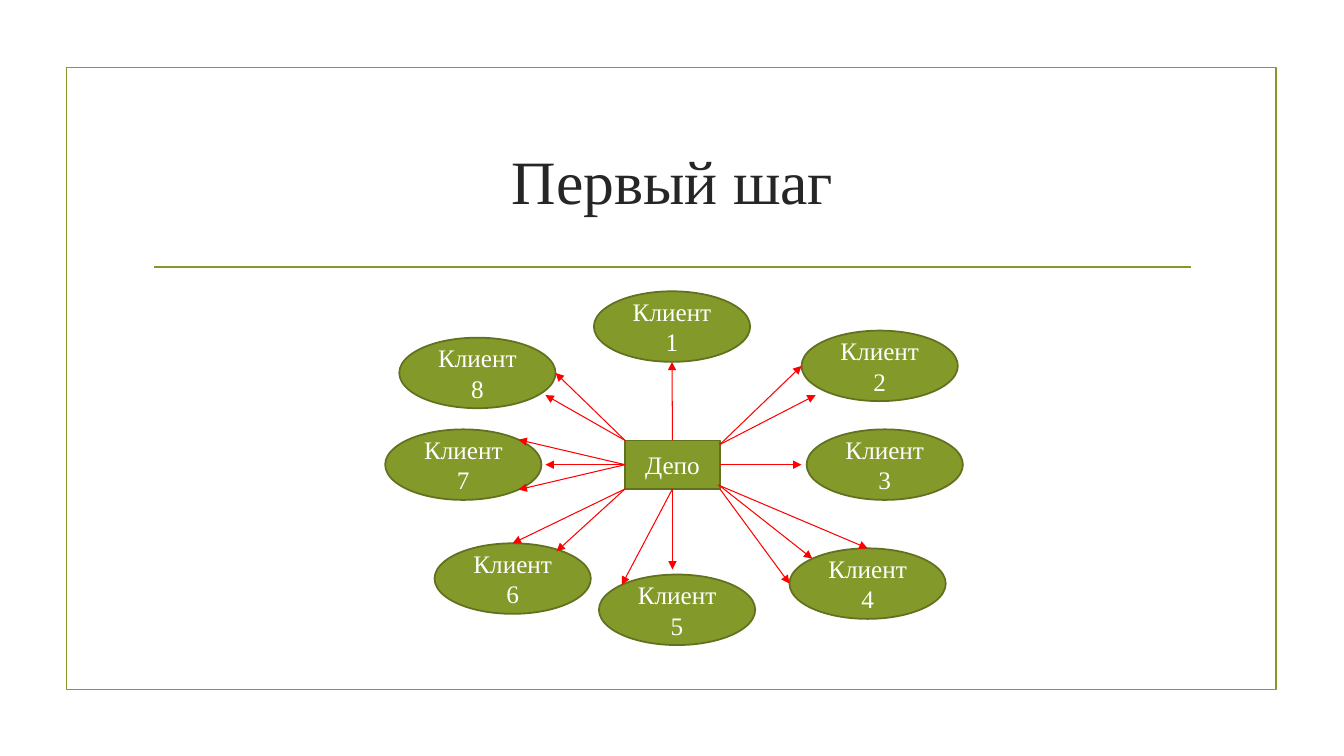
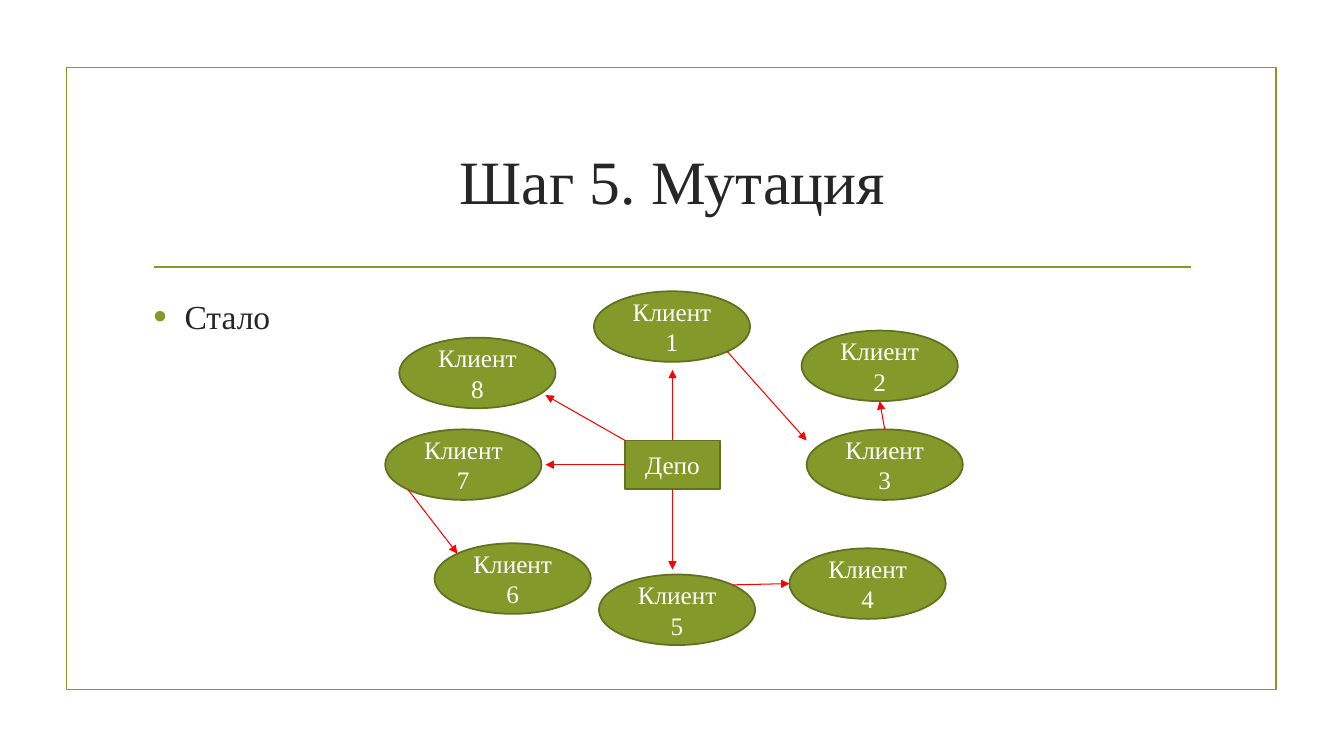
from dataclasses import dataclass
from math import hypot
from typing import Optional, Union

from lxml.etree import SubElement
from pptx import Presentation
from pptx.dml.color import RGBColor
from pptx.enum.shapes import MSO_CONNECTOR as Connector, MSO_SHAPE as Preset
from pptx.enum.text import MSO_ANCHOR as Anchor, PP_ALIGN as Align
from pptx.oxml.ns import qn
from pptx.util import Inches, Pt

# Shared look
COLORS = {
    "accent": "83992A",
    "outline": "61711F",
    "route": "FF0000",
    "text": "262626",
    "label": "FFFFFF",
}
FONT = "Times New Roman"
DEPOT = "Депо"
TITLE_ONLY, TITLE_AND_CONTENT = 5, 1

# Directions from a node's centre, and the connection sites of a rectangle
COMPASS = {
    "N": (0, -1), "NE": (1, -1), "E": (1, 0), "SE": (1, 1),
    "S": (0, 1), "SW": (-1, 1), "W": (-1, 0), "NW": (-1, -1),
}
SITES = {"N": 0, "W": 1, "S": 2, "E": 3}


@dataclass(frozen=True)
class Node:
    label: str
    left: float
    top: float
    width: float = 1.55
    height: float = 0.7
    preset: Preset = Preset.OVAL

    def edge_point(self, direction: str) -> tuple[float, float]:
        dx, dy = COMPASS[direction]
        reach = hypot(dx, dy) if self.preset == Preset.OVAL else 1
        return (self.left + self.width / 2 * (1 + dx / reach),
                self.top + self.height / 2 * (1 + dy / reach))

    def site(self, direction: str) -> Optional[int]:
        if self.preset == Preset.OVAL and direction != "N":
            return None
        return SITES.get(direction)


@dataclass(frozen=True)
class Dock:
    node: str
    direction: str


End = Union[Dock, tuple[float, float]]


@dataclass(frozen=True)
class Route:
    start: End
    end: End


def depot(direction: str) -> Dock:
    return Dock(DEPOT, direction)


def client(number: int, direction: str) -> Dock:
    return Dock(f"Клиент {number}", direction)


# Content
CLIENT_CORNERS = [
    (5.89, 2.89), (7.95, 3.28), (8, 4.26), (7.83, 5.44),
    (5.94, 5.7), (4.31, 5.39), (3.82, 4.26), (3.96, 3.35),
]
NODES = {
    node.label: node
    for node in [
        Node(DEPOT, 6.2, 4.37, 0.94, 0.48, Preset.RECTANGLE),
        *(Node(f"Клиент {number}", left, top)
          for number, (left, top) in enumerate(CLIENT_CORNERS, 1)),
    ]
}
COMMON_ROUTES = [
    Route(depot("W"), (5.41, 4.61)),
    Route(depot("NW"), (5.41, 3.92)),
    Route(depot("S"), (6.67, 5.65)),
]
FIRST_ROUTES = [
    Route(depot("N"), client(1, "S")),
    Route((7.14, 4.41), (8.09, 3.92)),
    Route((7.14, 4.41), client(2, "W")),
    Route(depot("E"), (7.95, 4.61)),
    Route((7.12, 4.81), client(4, "N")),
    Route((7.14, 4.82), client(4, "NW")),
    Route(depot("SE"), client(4, "W")),
    Route(depot("S"), client(5, "NW")),
    Route(depot("SW"), client(6, "N")),
    Route(depot("SW"), (5.52, 5.47)),
    Route(depot("W"), client(7, "NE")),
    Route(depot("W"), client(7, "SE")),
    Route(depot("NW"), client(8, "E")),
]
MUTATED_ROUTES = [
    Route(depot("N"), (6.67, 3.67)),
    Route(client(1, "SE"), (8, 4.37)),
    Route(client(3, "N"), client(2, "S")),
    Route(client(5, "NE"), client(4, "W")),
    Route(client(7, "SW"), client(6, "NW")),
]


def color(name: str) -> RGBColor:
    return RGBColor.from_string(COLORS[name])


def place(shape, left: float, top: float, width: float, height: float) -> None:
    shape.left, shape.top = Inches(left), Inches(top)
    shape.width, shape.height = Inches(width), Inches(height)


def write(paragraph, text: str, size: float, color_name: str) -> None:
    run = paragraph.add_run()
    run.text = text
    run.font.name = FONT
    run.font.size = Pt(size)
    run.font.color.rgb = color(color_name)


def add_line(slide, start: tuple[float, float], end: tuple[float, float],
             color_name: str, width: float):
    line = slide.shapes.add_connector(
        Connector.STRAIGHT, *(Inches(value) for value in (*start, *end)))
    line.line.color.rgb = color(color_name)
    line.line.width = Pt(width)
    SubElement(line.element.spPr, qn("a:effectLst"))
    return line


def add_frame(slide) -> None:
    frame = slide.shapes.add_shape(
        Preset.RECTANGLE, Inches(0.66), Inches(0.67), Inches(12), Inches(6.17))
    frame.shadow.inherit = False
    frame.fill.background()
    frame.line.color.rgb = color("accent")
    frame.line.width = Pt(1.25)
    add_line(slide, (1.53, 2.65), (11.81, 2.65), "accent", 1.25)


def add_title(slide, text: str) -> None:
    title = slide.shapes.title
    place(title, 1.42, 1.07, 10.5, 1.43)
    title.text_frame.vertical_anchor = Anchor.MIDDLE
    paragraph = title.text_frame.paragraphs[0]
    paragraph.alignment = Align.CENTER
    write(paragraph, text, 44, "text")


def add_bullet(slide, text: str) -> None:
    body = slide.placeholders[1]
    place(body, 1.42, 2.89, 10.5, 3.63)
    paragraph = body.text_frame.paragraphs[0]
    write(paragraph, text, 24, "text")
    paragraph.space_before, paragraph.space_after = Pt(5), Pt(6)
    # Hanging indent and coloured bullet
    properties = paragraph._p.get_or_add_pPr()
    properties.set("marL", str(Inches(0.31)))
    properties.set("indent", str(-Inches(0.31)))
    bullet_color = SubElement(properties, qn("a:buClr"))
    SubElement(bullet_color, qn("a:srgbClr"), val=COLORS["accent"])
    SubElement(properties, qn("a:buSzPct"), val="115000")
    SubElement(properties, qn("a:buFont"), typeface="Arial")
    SubElement(properties, qn("a:buChar"), char="•")


def add_node(slide, node: Node):
    shape = slide.shapes.add_shape(
        node.preset, Inches(node.left), Inches(node.top),
        Inches(node.width), Inches(node.height))
    shape.shadow.inherit = False
    shape.fill.solid()
    shape.fill.fore_color.rgb = color("accent")
    shape.line.color.rgb = color("outline")
    shape.line.width = Pt(1.25)
    shape.text_frame.word_wrap = True
    shape.text_frame.vertical_anchor = Anchor.MIDDLE
    paragraph = shape.text_frame.paragraphs[0]
    paragraph.alignment = Align.CENTER
    write(paragraph, node.label, 18, "label")
    return shape


def locate(end: End) -> tuple[float, float]:
    return NODES[end.node].edge_point(end.direction) if isinstance(end, Dock) else end


def add_route(slide, route: Route, stops: dict) -> None:
    arrow = add_line(slide, locate(route.start), locate(route.end), "route", 0.75)
    SubElement(arrow.element.spPr.find(qn("a:ln")), qn("a:tailEnd"), type="triangle")
    for end, connect in ((route.start, arrow.begin_connect),
                         (route.end, arrow.end_connect)):
        if isinstance(end, Dock):
            site = NODES[end.node].site(end.direction)
            if site is not None:
                connect(stops[end.node], site)


def add_step(deck, title: str, routes: list[Route],
             bullet: Optional[str] = None) -> None:
    layout = TITLE_AND_CONTENT if bullet else TITLE_ONLY
    slide = deck.slides.add_slide(deck.slide_layouts[layout])
    add_frame(slide)
    add_title(slide, title)
    if bullet:
        add_bullet(slide, bullet)
    stops = {label: add_node(slide, node) for label, node in NODES.items()}
    for route in COMMON_ROUTES + routes:
        add_route(slide, route, stops)


def main() -> None:
    deck = Presentation()
    deck.slide_width, deck.slide_height = Inches(13.33), Inches(7.5)
    add_step(deck, "Первый шаг", FIRST_ROUTES)
    add_step(deck, "Шаг 5. Мутация", MUTATED_ROUTES, "Стало")
    deck.save("out.pptx")


if __name__ == "__main__":
    main()
